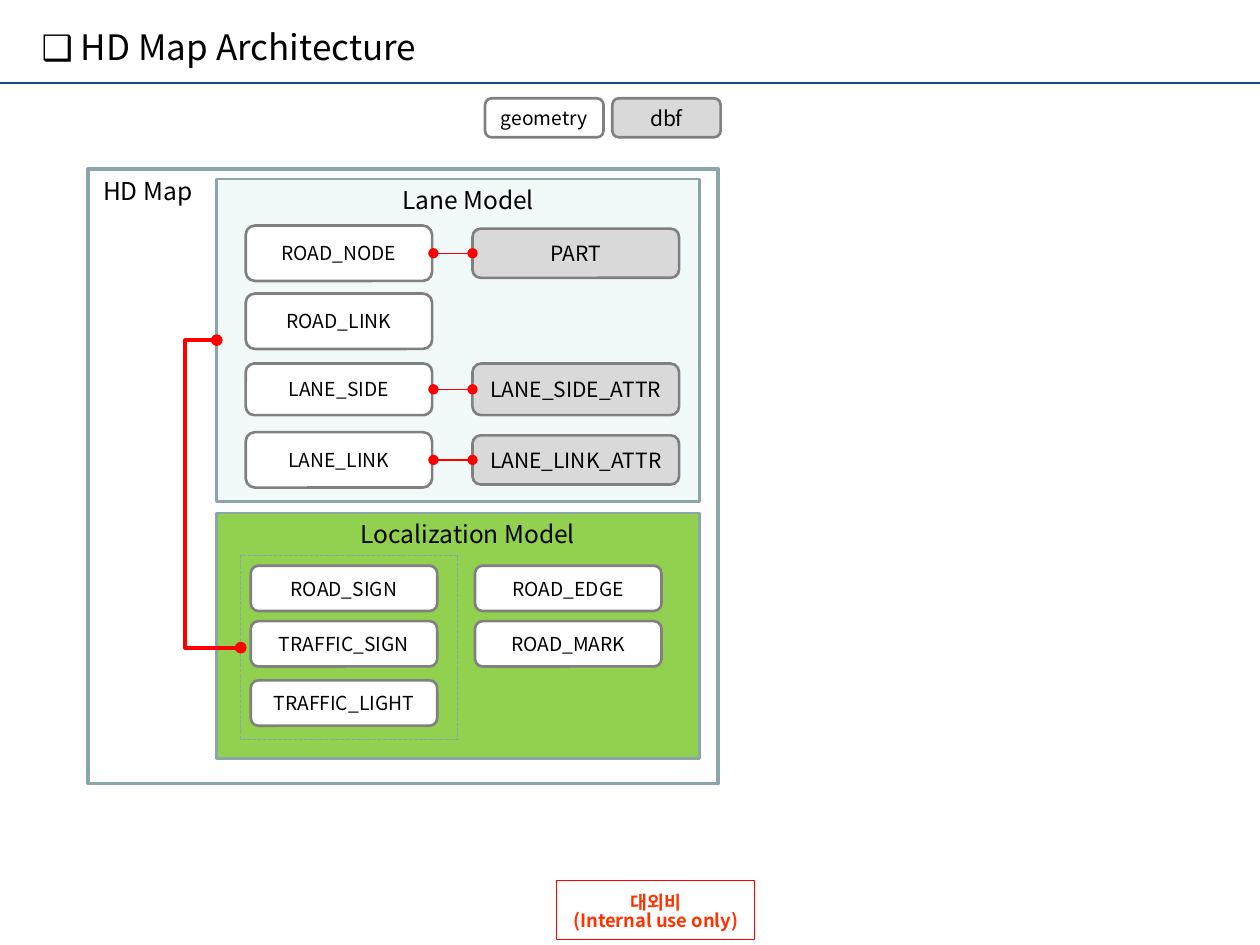
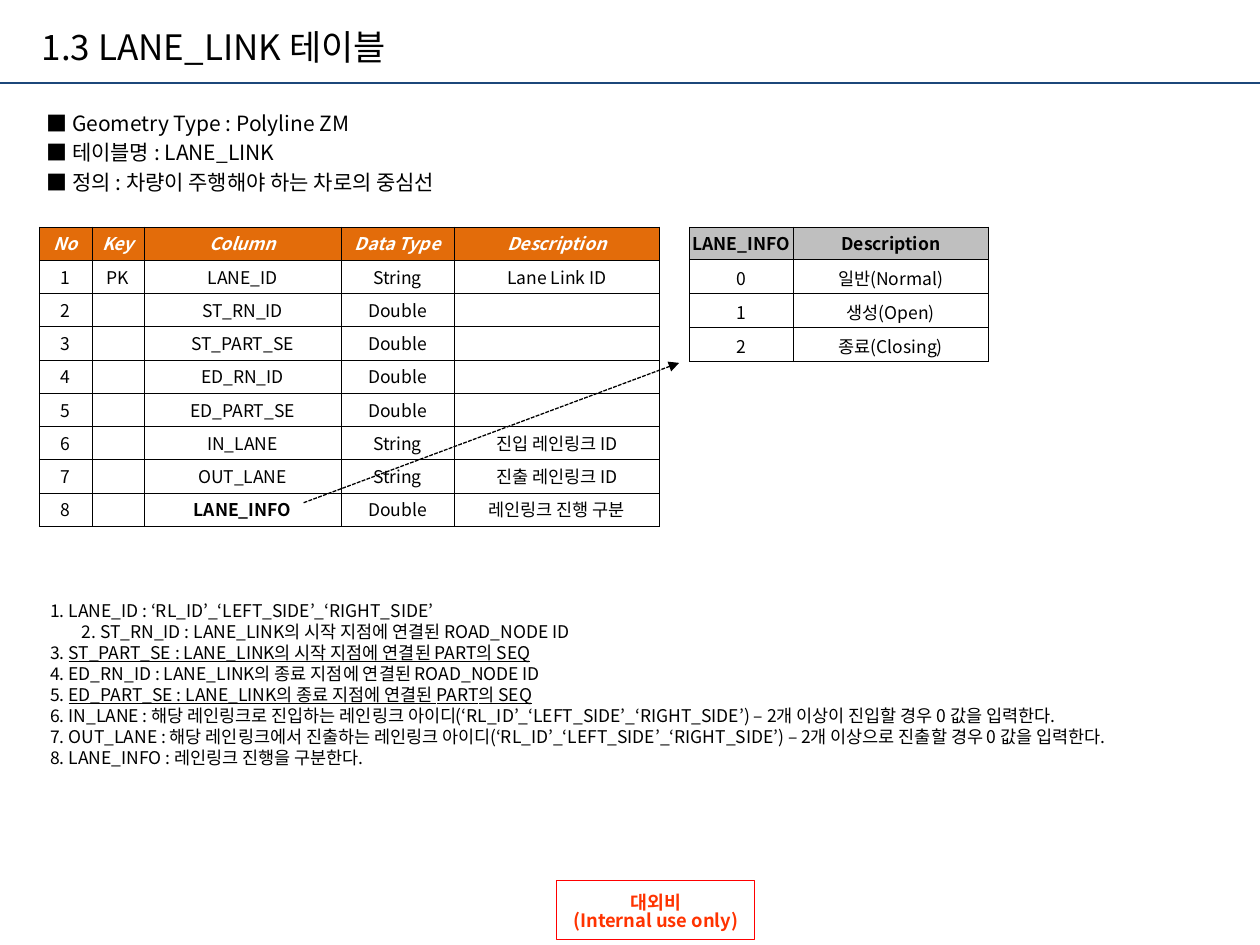
import pptx
import pptx.dml.color
import pptx.enum.dml
import pptx.enum.shapes
import pptx.enum.text
import pptx.oxml.ns
import pptx.util
from lxml import etree

# Shared look: a grid of 100 columns by 75 rows covers the slide
FONT = "Noto Sans CJK KR"
COLUMNS, ROWS = 100, 75
WIDTH, HEIGHT = pptx.util.Inches(10), pptx.util.Inches(7.5)
BLACK, WHITE, RED = "000000", "FFFFFF", "FF0000"
NAVY, NOTICE, TEAL, GREY = "1C477A", "FF3300", "8AA6A8", "808080"
PALE, GREEN, SILVER, ORANGE, HEADER_GREY = "F1F9F9", "92D050", "D9D9D9", "E36C0A", "BFBFBF"

SHAPE = pptx.enum.shapes.MSO_SHAPE
LINK = pptx.enum.shapes.MSO_CONNECTOR
ALIGN = pptx.enum.text.PP_ALIGN
ANCHOR = pptx.enum.text.MSO_ANCHOR
DASH = pptx.enum.dml.MSO_LINE.SQUARE_DOT


def across(columns):
    return round(WIDTH * columns / COLUMNS)


def down(rows):
    return round(HEIGHT * rows / ROWS)


def place(left, top, width, height):
    return across(left), down(top), across(width), down(height)


def colour(value):
    return pptx.dml.color.RGBColor.from_string(value)


def add_xml(parent, tag, **attributes):
    return etree.SubElement(parent, pptx.oxml.ns.qn(tag), attributes)


# Text
def add_span(para, text, size, ink=BLACK, bold=False, italic=False, underline=False):
    span = para.add_run()
    span.text = text
    font = span.font
    font.size, font.name = pptx.util.Pt(size), FONT
    font.bold, font.italic, font.underline = bold, italic, underline
    font.color.rgb = colour(ink)
    add_xml(font._element, "a:ea", typeface=FONT)


def indent(para, margin, first):
    properties = para._p.get_or_add_pPr()
    properties.set("marL", str(across(margin)))
    properties.set("indent", str(across(first)))


def next_para(frame, number):
    return frame.paragraphs[0] if number == 0 else frame.add_paragraph()


def add_text(page, area, anchor=ANCHOR.TOP):
    frame = page.shapes.add_textbox(*place(*area)).text_frame
    frame.word_wrap = True
    frame.vertical_anchor = anchor
    return frame


def add_label(page, area, text, align):
    para = add_text(page, area).paragraphs[0]
    para.alignment = align
    add_span(para, text, 14)


# Shapes and lines
def add_box(page, area, fill=None, edge=TEAL, weight=1.5, kind=SHAPE.RECTANGLE, dash=None):
    box = page.shapes.add_shape(kind, *place(*area))
    box.shadow.inherit = False
    if fill:
        box.fill.solid()
        box.fill.fore_color.rgb = colour(fill)
    else:
        box.fill.background()
    box.line.color.rgb = colour(edge)
    box.line.width = pptx.util.Pt(weight)
    if dash:
        box.line.dash_style = dash
    return box


def add_entity(page, area, text, dbf=False):
    """Rounded box: white for geometry, grey for dbf."""
    box = add_box(page, area, SILVER if dbf else WHITE, GREY, kind=SHAPE.ROUNDED_RECTANGLE)
    frame = box.text_frame
    frame.word_wrap = True
    frame.vertical_anchor = ANCHOR.MIDDLE
    frame.paragraphs[0].alignment = ALIGN.CENTER
    add_span(frame.paragraphs[0], text, 12 if dbf else 11)


def add_line(page, start, end, ink, weight, kind=LINK.STRAIGHT, head=None, tail=None, dash=None):
    line = page.shapes.add_connector(kind, across(start[0]), down(start[1]),
                                     across(end[0]), down(end[1]))
    line.line.color.rgb = colour(ink)
    line.line.width = pptx.util.Pt(weight)
    if dash:
        line.line.dash_style = dash
    stroke = line.line._get_or_add_ln()
    if head:
        add_xml(stroke, "a:headEnd", type=head)
    if tail:
        add_xml(stroke, "a:tailEnd", type=tail)
    add_xml(line._element.spPr, "a:effectLst")
    return line


def add_relation(page, start, end, weight=0.75, kind=LINK.STRAIGHT):
    return add_line(page, start, end, RED, weight, kind, head="oval", tail="oval")


# Tables
def fill_cell(cell, text, fill, tight, **style):
    properties = cell._tc.get_or_add_tcPr()
    for side in ("a:lnL", "a:lnR", "a:lnT", "a:lnB"):
        border = add_xml(properties, side, w=str(pptx.util.Pt(0.25)))
        add_xml(add_xml(border, "a:solidFill"), "a:srgbClr", val=BLACK)
    if fill:
        cell.fill.solid()
        cell.fill.fore_color.rgb = colour(fill)
    else:
        cell.fill.background()
    cell.vertical_anchor = ANCHOR.MIDDLE
    if tight:
        cell.margin_left = cell.margin_right = across(0.2)
        cell.margin_top = cell.margin_bottom = 0
    para = cell.text_frame.paragraphs[0]
    para.alignment = ALIGN.CENTER
    if text:
        add_span(para, text, 10, **style)
    else:
        add_xml(para._p, "a:endParaRPr", sz="1000")


def add_grid(page, left, top, widths, heights, records, header_fill, header_style,
             tight_body=True, strong=()):
    area = place(left, top, sum(widths), sum(heights))
    table = page.shapes.add_table(len(records), len(widths), *area).table
    table.first_row = table.horz_banding = False
    for column, width in zip(table.columns, widths):
        column.width = across(width)
    for number, (row, height, record) in enumerate(zip(table.rows, heights, records)):
        row.height = down(height)
        for cell, text in zip(row.cells, record):
            if number == 0:
                fill_cell(cell, text, header_fill, True, bold=True, **header_style)
            else:
                fill_cell(cell, text, None, tight_body, bold=text in strong)


# What both slides share: title, rule and confidentiality stamp
def add_page(deck, title, title_width):
    page = deck.slides.add_slide(deck.slide_layouts[5])
    add_line(page, (0, 6.6), (COLUMNS, 6.6), NAVY, 1)

    stamp = add_box(page, (44.2, 69.9, 15.7, 4.7), WHITE, RED, 0.5)
    frame = stamp.text_frame
    frame.word_wrap = False
    frame.vertical_anchor = ANCHOR.MIDDLE
    frame.margin_left = frame.margin_right = across(1.2)
    frame.margin_top, frame.margin_bottom = down(1.4), down(0.6)
    for number, text in enumerate(("대외비", "(Internal use only)")):
        para = next_para(frame, number)
        para.alignment = ALIGN.CENTER
        para.line_spacing = 0.4
        para.space_before = pptx.util.Pt(5.25)
        add_span(para, text, 10.5, NOTICE, bold=True)

    heading = page.shapes.title
    heading.left, heading.top, heading.width, heading.height = place(2.3, 1.1, title_width, 5.2)
    frame = heading.text_frame
    frame.word_wrap = True
    frame.auto_size = pptx.enum.text.MSO_AUTO_SIZE.NONE
    frame.vertical_anchor = ANCHOR.MIDDLE
    para = frame.paragraphs[0]
    para.alignment = ALIGN.LEFT
    para.space_before = pptx.util.Pt(4)
    indent(para, 3.8, -3.8)
    add_span(para, title, 20)
    return page


def build_architecture(deck):
    page = add_page(deck, "❑ HD Map Architecture", 47.7)

    # Legend
    add_entity(page, (38.5, 7.8, 9.4, 3.1), "geometry")
    add_entity(page, (48.6, 7.8, 8.6, 3.1), "dbf", dbf=True)

    # Frames and their headings
    add_box(page, (7, 13.4, 50, 48.8), weight=2)
    add_label(page, (7.2, 13.5, 10.7, 3.4), "HD Map", ALIGN.JUSTIFY)
    for text, top, height, fill in (("Lane Model", 14.2, 25.6, PALE),
                                    ("Localization Model", 40.7, 19.5, GREEN)):
        add_box(page, (17.2, top, 38.3, height), fill)
        add_label(page, (18.8, top, 36.7, 3.4), text, ALIGN.CENTER)

    # Lane model: geometry on the left, its dbf on the same centre line
    lanes = (("ROAD_NODE", 20.1, 4.4, "PART", 3.9),
             ("ROAD_LINK", 25.5, 4.4, None, 0),
             ("LANE_SIDE", 30.9, 4.1, "LANE_SIDE_ATTR", 4.1),
             ("LANE_LINK", 36.5, 4.4, "LANE_LINK_ATTR", 3.9))
    for name, centre, height, partner, partner_height in lanes:
        add_entity(page, (19.5, centre - height / 2, 14.8, height), name)
        if partner:
            area = (37.5, centre - partner_height / 2, 16.4, partner_height)
            add_entity(page, area, partner, dbf=True)
            add_relation(page, (34.4, centre), (37.5, centre))

    # Localization model
    add_box(page, (19.1, 44.1, 17.2, 14.6), weight=0.75, dash=DASH)
    for left, names in ((19.9, ("ROAD_SIGN", "TRAFFIC_SIGN", "TRAFFIC_LIGHT")),
                        (37.7, ("ROAD_EDGE", "ROAD_MARK"))):
        for top, name in zip((44.9, 49.3, 54), names):
            add_entity(page, (left, top, 14.8, 3.6), name)

    # Link between the models, bending out to the left
    link = add_relation(page, (17.2, 27), (19.1, 51.4), 2.25, LINK.ELBOW)
    bends = link._element.spPr.find(pptx.oxml.ns.qn("a:prstGeom")).get_or_add_avLst()
    add_xml(bends, "a:gd", name="adj1", fmla="val -130700")


def build_lane_link(deck):
    page = add_page(deck, "1.3 LANE_LINK 테이블", 68.8)

    # Summary
    frame = add_text(page, (2.7, 8.6, 53.5, 7), ANCHOR.MIDDLE)
    for number, text in enumerate(("■ Geometry Type : Polyline ZM",
                                   "■ 테이블명 : LANE_LINK",
                                   "■ 정의 : 차량이 주행해야 하는 차로의 중심선")):
        para = next_para(frame, number)
        para.space_before = pptx.util.Pt(2.4)
        indent(para, 3.8, -3.8)
        add_span(para, text, 12)

    # Code values and table columns
    codes = (("LANE_INFO", "Description"),
             ("0", "일반(Normal)"), ("1", "생성(Open)"), ("2", "종료(Closing)"))
    add_grid(page, 54.7, 18, (8.25, 15.5), (2.6, 2.7, 2.7, 2.7), codes, HEADER_GREY, {},
             tight_body=False)

    fields = (("LANE_ID", "String", "Lane Link ID"),
              ("ST_RN_ID", "Double", ""),
              ("ST_PART_SE", "Double", ""),
              ("ED_RN_ID", "Double", ""),
              ("ED_PART_SE", "Double", ""),
              ("IN_LANE", "String", "진입 레인링크 ID"),
              ("OUT_LANE", "String", "진출 레인링크 ID"),
              ("LANE_INFO", "Double", "레인링크 진행 구분"))
    records = [("No", "Key", "Column", "Data Type", "Description")]
    for number, field in enumerate(fields, 1):
        records.append((str(number), "PK" if number == 1 else "", *field))
    add_grid(page, 3.1, 18, (4.2, 4.15, 15.6, 9, 16.3), [2.64] * len(records), records,
             ORANGE, {"ink": WHITE, "italic": True}, strong=("LANE_INFO",))

    # Notes: some are underlined after their number
    notes = ("LANE_ID : ‘RL_ID’_‘LEFT_SIDE’_‘RIGHT_SIDE’",
             "ST_RN_ID : LANE_LINK의 시작 지점에 연결된 ROAD_NODE ID",
             "ST_PART_SE : LANE_LINK의 시작 지점에 연결된 PART의 SEQ",
             "ED_RN_ID : LANE_LINK의 종료 지점에 연결된 ROAD_NODE ID",
             "ED_PART_SE : LANE_LINK의 종료 지점에 연결된 PART의 SEQ",
             "IN_LANE : 해당 레인링크로 진입하는 레인링크 아이디"
             "(‘RL_ID’_‘LEFT_SIDE’_‘RIGHT_SIDE’) – 2개 이상이 진입할 경우 0 값을 입력한다.",
             "OUT_LANE : 해당 레인링크에서 진출하는 레인링크 아이디"
             "(‘RL_ID’_‘LEFT_SIDE’_‘RIGHT_SIDE’) – 2개 이상으로 진출할 경우 0 값을 입력한다.",
             "LANE_INFO : 레인링크 진행을 구분한다.")
    frame = add_text(page, (3, 47.1, 87.8, 16.2))
    for number, text in enumerate(notes):
        para = next_para(frame, number)
        indent(para, 2.5, 0 if number == 1 else -2.5)
        add_span(para, f"{number + 1}. ", 10)
        add_span(para, text, 10, underline="_PART_SE" in text)

    # Pointer from the field to its codes
    add_line(page, (24.1, 39.9), (53.9, 28.8), BLACK, 0.75, tail="triangle", dash=DASH)


def main():
    deck = pptx.Presentation()
    deck.slide_width, deck.slide_height = WIDTH, HEIGHT
    build_architecture(deck)
    build_lane_link(deck)
    deck.save("out.pptx")


main()
